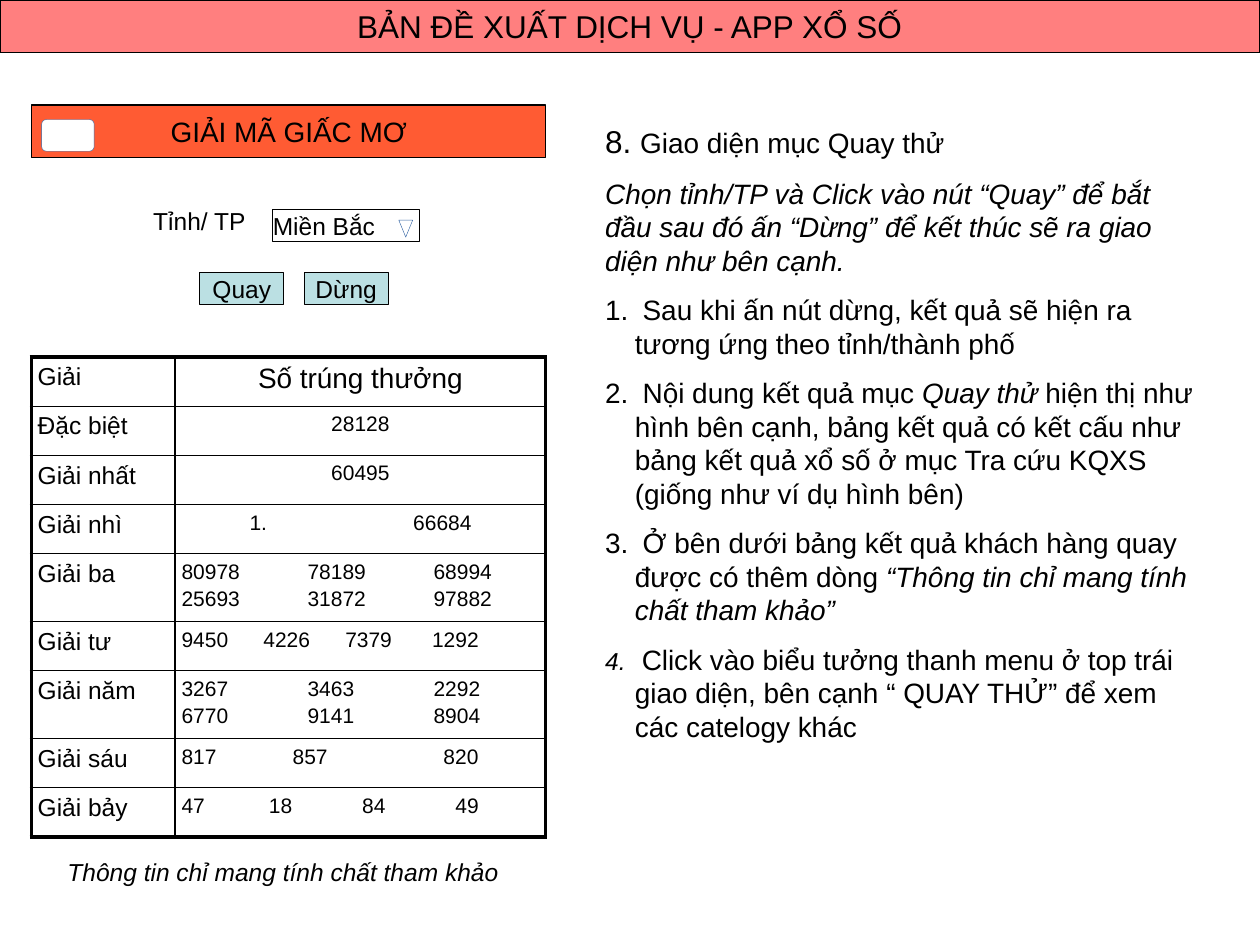
from lxml import etree
from pptx import Presentation
from pptx import util as u
from pptx.dml import color
from pptx.enum import shapes, text
from pptx.oxml import ns

FONT = "Arial"
BLACK = "000000"
WHITE = "FFFFFF"
BLUE = "3465A4"
TEAL = "BBE0E3"
LEFT = text.PP_ALIGN.LEFT
MID = text.PP_ALIGN.CENTER
KIND = shapes.MSO_SHAPE

TITLE = "BẢN ĐỀ XUẤT DỊCH VỤ - APP XỔ SỐ"
HEAD = "GIẢI MÃ GIẤC MƠ"
NOTE = "Thông tin chỉ mang tính chất tham khảo"

GUIDE = [
    (False, [("8. ", 18, False), ("Giao diện mục Quay thử", 16, False)]),
    (False, [("Chọn tỉnh/TP và Click vào nút “Quay” để bắt đầu sau đó ấn “Dừng” "
              "để kết thúc sẽ ra giao diện như bên cạnh.", 16, True)]),
    (True, [(" Sau khi ấn nút dừng, kết quả sẽ hiện ra tương ứng theo "
             "tỉnh/thành phố", 16, False)]),
    (True, [(" Nội dung kết quả mục ", 16, False), ("Quay thử ", 16, True),
            ("hiện thị như hình bên cạnh, bảng kết quả có kết cấu như bảng "
             "kết quả xổ số ở mục Tra cứu KQXS (giống như ví dụ hình bên)", 16, False)]),
    (True, [(" Ở bên dưới bảng kết quả khách hàng quay được có thêm dòng ", 16, False),
            ("“Thông tin chỉ mang tính chất tham khảo”", 16, True)]),
    (True, [(" ", 14, True),
            ("Click vào biểu tưởng thanh menu ở top trái giao diện, bên cạnh "
             "“ QUAY THỬ” để xem các catelogy khác", 16, False)]),
]

PRIZES = [
    ("Giải", ["Số trúng thưởng"], []),
    ("Đặc biệt", ["28128"], []),
    ("Giải nhất", ["60495"], []),
    ("Giải nhì", ["66684"], []),
    ("Giải ba", ["80978\t78189\t68994", "25693\t31872\t97882"], [2.54, 5.08]),
    ("Giải tư", ["9450\t4226\t7379\t1292"], [1.65, 3.3, 5.05]),
    ("Giải năm", ["3267\t3463\t2292", "6770\t9141\t8904"], [2.54, 5.08]),
    ("Giải sáu", ["817\t857\t820"], [2.24, 5.28]),
    ("Giải bảy", ["47\t18\t84\t49"], [1.76, 3.64, 5.52]),
]


def rgb(code):
    return color.RGBColor.from_string(code)


def node(base, tag, **attrs):
    item = etree.SubElement(base, ns.qn(tag))
    for key, val in attrs.items():
        item.set(key, str(val))
    return item


def style(font, size, slant=False):
    font.name = FONT
    font.size = u.Pt(size)
    font.italic = slant
    font.color.rgb = rgb(BLACK)


def number(para, left, hang):
    props = para._p.get_or_add_pPr()
    props.set("marL", str(u.Cm(left)))
    props.set("indent", str(-u.Cm(hang)))
    node(props, "a:buFont", typeface=FONT)
    node(props, "a:buAutoNum", type="arabicPeriod")


def tabs(para, stops):
    group = node(para._p.get_or_add_pPr(), "a:tabLst")
    for stop in stops:
        node(group, "a:tab", pos=u.Cm(stop), algn="l")


def shape(slide, kind, spot, fill, line=BLACK, width=0.75, alpha=100):
    item = slide.shapes.add_shape(kind, *map(u.Cm, spot))
    item.shadow.inherit = False
    item.fill.solid()
    item.fill.fore_color.rgb = rgb(fill)
    if alpha < 100:
        tone = item.fill._xPr.find(".//" + ns.qn("a:srgbClr"))
        node(tone, "a:alpha", val=alpha * 1000)
    item.line.color.rgb = rgb(line)
    item.line.width = u.Pt(width)
    return item


def frame(slide, spot, inset):
    body = slide.shapes.add_textbox(*map(u.Cm, spot)).text_frame
    body.word_wrap = True
    body.margin_left = body.margin_right = u.Cm(inset)
    body.margin_top = body.margin_bottom = u.Cm(inset)
    return body


def label(slide, words, spot, size=14, align=MID, inset=0, slant=False):
    body = frame(slide, spot, inset)
    body.vertical_anchor = text.MSO_ANCHOR.TOP if inset else text.MSO_ANCHOR.MIDDLE
    para = body.paragraphs[0]
    para.text = words
    para.alignment = align
    style(para.runs[0].font, size, slant)


def guide(slide):
    body = frame(slide, (12.07, 2.34, 12.27, 12.19), 0.13)
    for pos, (listed, runs) in enumerate(GUIDE):
        para = body.add_paragraph() if pos else body.paragraphs[0]
        if pos:
            para.space_before = u.Pt(9)
        if listed:
            number(para, 0.6, 0.6)
        for words, size, slant in runs:
            run = para.add_run()
            run.text = words
            style(run.font, size, slant)


def border(cell, thick):
    props = cell._tc.get_or_add_tcPr()
    for side in "LRTB":
        width = 2.25 if side in thick else 1
        line = node(props, "a:ln" + side, w=u.Pt(width))
        node(node(line, "a:solidFill"), "a:srgbClr", val=BLACK)
    cell.fill.background()


def fill(cell, lines, size, align, stops=()):
    cell.margin_left = cell.margin_right = u.Cm(0.13)
    cell.margin_top = cell.margin_bottom = u.Cm(0.13)
    cell.text_frame.text = "\n".join(lines)
    for pos, para in enumerate(cell.text_frame.paragraphs):
        para.alignment = align
        if pos:
            para.space_before = u.Pt(2)
        if stops:
            tabs(para, stops)
        style(para.runs[0].font, size)


def prizes(slide):
    last = len(PRIZES) - 1
    spot = map(u.Cm, (0.63, 7.2, 10.37, 9.67))
    grid = slide.shapes.add_table(len(PRIZES), 2, *spot).table
    grid.first_row = grid.horz_banding = False
    grid.columns[0].width = u.Cm(2.9)
    grid.columns[1].width = u.Cm(7.47)
    for row, (name, lines, stops) in enumerate(PRIZES):
        grid.rows[row].height = u.Cm(1.37 if len(lines) > 1 else 0.99)
        edge = "T" if row == 0 else "B" if row == last else ""
        left, right = grid.cell(row, 0), grid.cell(row, 1)
        border(left, "L" + edge)
        border(right, "R" + edge)
        fill(left, [name], 14, LEFT)
        align = MID if row < 3 else LEFT
        fill(right, lines, 12 if row else 16, align, stops)
        if name == "Giải nhì":
            number(right.text_frame.paragraphs[0], 4.67, 3.3)


def main():
    deck = Presentation()
    deck.slide_width, deck.slide_height = u.Cm(25.4), u.Cm(19.05)
    slide = deck.slides.add_slide(deck.slide_layouts[6])

    for words, left, start, width in (("Quay", 4.02, 4.14, 1.47),
                                      ("Dừng", 6.14, 6.22, 1.52)):
        shape(slide, KIND.RECTANGLE, (left, 5.5, 1.69, 0.64), TEAL)
        label(slide, words, (start, 5.41, width, 0.82))

    label(slide, "Tỉnh/ TP", (2.96, 4.02, 2.75, 0.82), align=LEFT, inset=0.13)
    shape(slide, KIND.RECTANGLE, (5.5, 4.23, 2.96, 0.64), WHITE)
    label(slide, "Miền Bắc", (5.5, 4.15, 2.33, 0.82), align=LEFT)
    shape(slide, KIND.FLOWCHART_MERGE, (8.04, 4.44, 0.28, 0.34), WHITE, BLUE, 0.25)

    guide(slide)
    prizes(slide)
    label(slide, NOTE, (0.63, 17.15, 10.16, 0.82), inset=0.13, slant=True)

    shape(slide, KIND.RECTANGLE, (0.63, 2.12, 10.37, 1.06), "FF3300", alpha=80)
    label(slide, HEAD, (3.25, 2.22, 5.15, 0.86), 16)
    menu = shape(slide, KIND.ROUNDED_RECTANGLE, (0.84, 2.41, 1.06, 0.64), WHITE, BLUE, 0.25)
    menu.adjustments[0] = 0.15

    shape(slide, KIND.RECTANGLE, (0, 0, 25.4, 1.06), "FF0000", alpha=50)
    label(slide, TITLE, (6.98, 0.05, 11.43, 0.96), 18)
    deck.save("out.pptx")


if __name__ == "__main__":
    main()
